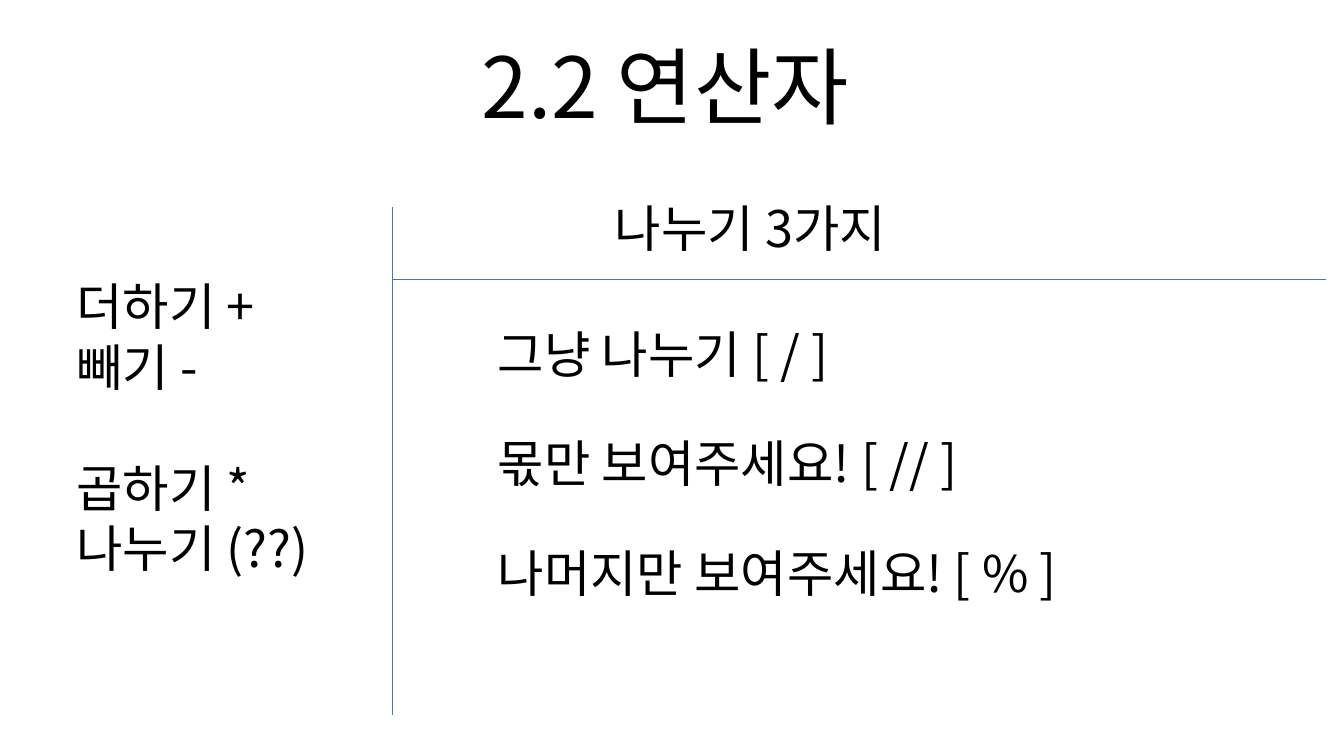
from lxml.etree import SubElement
from pptx import Presentation
from pptx.dml.color import RGBColor
from pptx.enum.shapes import MSO_CONNECTOR
from pptx.enum.text import PP_ALIGN
from pptx.oxml.ns import qn
from pptx.util import Pt

BLACK = RGBColor(0, 0, 0)
BLUE = RGBColor(0x44, 0x72, 0xC4)
WHITE = RGBColor(255, 255, 255)
FONT = "Noto Sans CJK KR"


def put_text(slide, box, text, size=36, align=PP_ALIGN.LEFT, gaps=None):
    """Write one paragraph per line, with gaps in points before some lines."""
    frame = slide.shapes.add_textbox(*map(Pt, box)).text_frame
    frame.word_wrap = True
    for row, line in enumerate(text.split("\n")):
        para = frame.add_paragraph() if row else frame.paragraphs[0]
        para.alignment = align
        para.space_before = Pt((gaps or {}).get(row, 0))
        run = para.add_run()
        run.text = line
        run.font.size = Pt(size)
        run.font.name = FONT
        run.font.color.rgb = BLACK
        SubElement(run.font._element, qn("a:ea"), typeface=FONT)


def put_line(slide, *ends):
    """Draw a thin straight line between two points."""
    line = slide.shapes.add_connector(MSO_CONNECTOR.STRAIGHT, *map(Pt, ends))
    line.line.color.rgb = BLUE
    line.line.width = Pt(0.5)
    SubElement(line._element.spPr, qn("a:effectLst"))


def add_title(slide, box):
    """Place the centred title."""
    put_text(slide, box, "2.2 연산자", size=60, align=PP_ALIGN.CENTER)


def add_basics(slide, box):
    """List the four basic operators in two pairs."""
    put_text(slide, box, "더하기 +\n빼기 -\n곱하기 *\n나누기 (??)", gaps={2: 43.3})


def add_kinds(slide, box):
    """Show the three kinds of division beside and below the rules."""
    left, top, width, height = box
    rule = top + 51.4
    put_line(slide, left, top, left, top + height)
    put_line(slide, left, rule, left + width, rule)
    put_text(slide, (left + 152, top - 11, 248, 51), "나누기 3가지")
    kinds = ["그냥 나누기 [ / ]", "몫만 보여주세요! [ // ]", "나머지만 보여주세요! [ % ]"]
    for row, kind in enumerate(kinds):
        put_text(slide, (left + 68.5, rule + 28 + 78 * row, 470, 51), kind)


def main():
    """Build and save the slide."""
    deck = Presentation()
    deck.slide_width, deck.slide_height = Pt(960), Pt(540)
    slide = deck.slides.add_slide(deck.slide_layouts[6])
    slide.background.fill.solid()
    slide.background.fill.fore_color.rgb = WHITE
    add_title(slide, (124, 21, 702, 80))
    add_basics(slide, (47.5, 193, 201.6, 225))
    add_kinds(slide, (280, 148, 667.5, 363))
    deck.save("out.pptx")


main()
